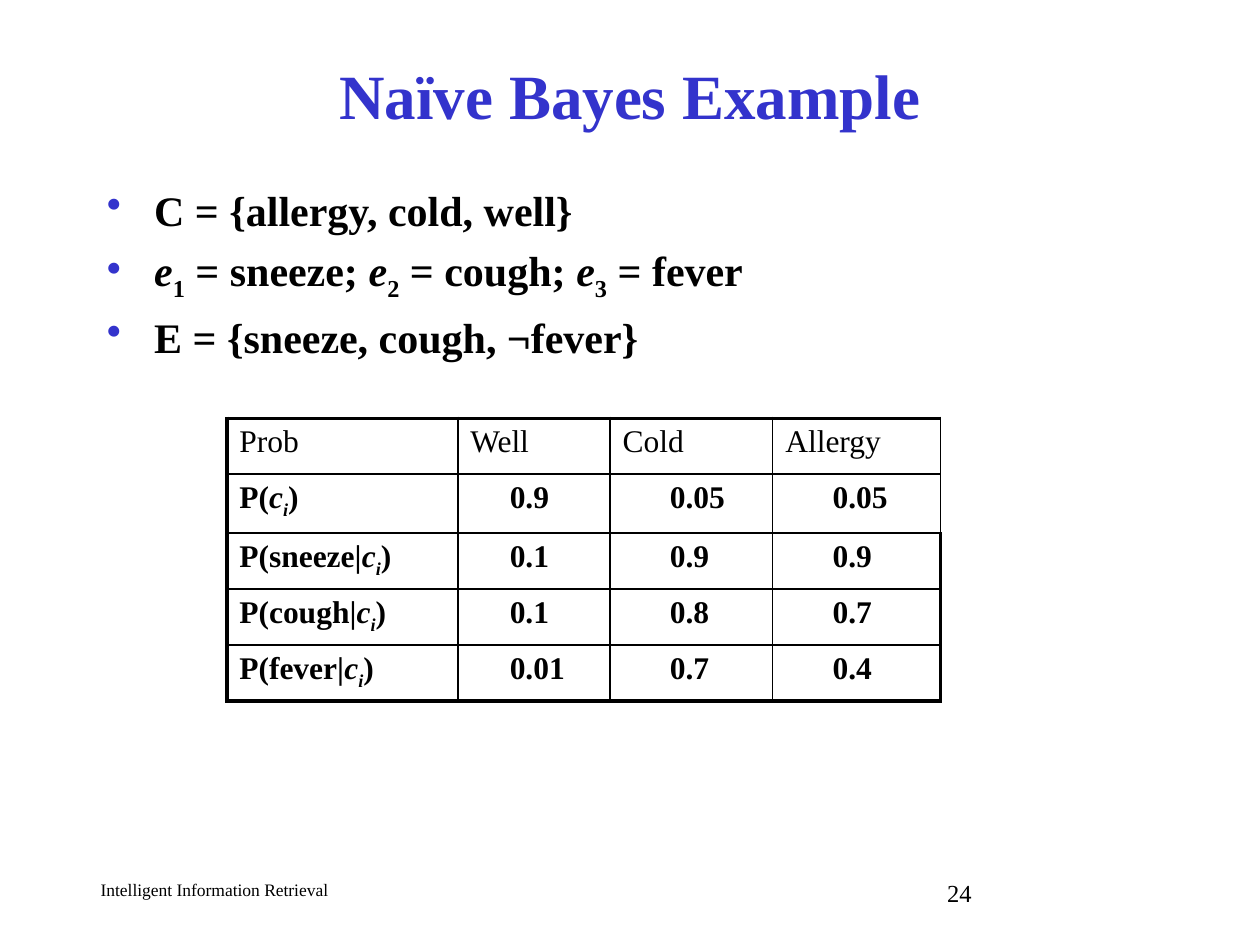
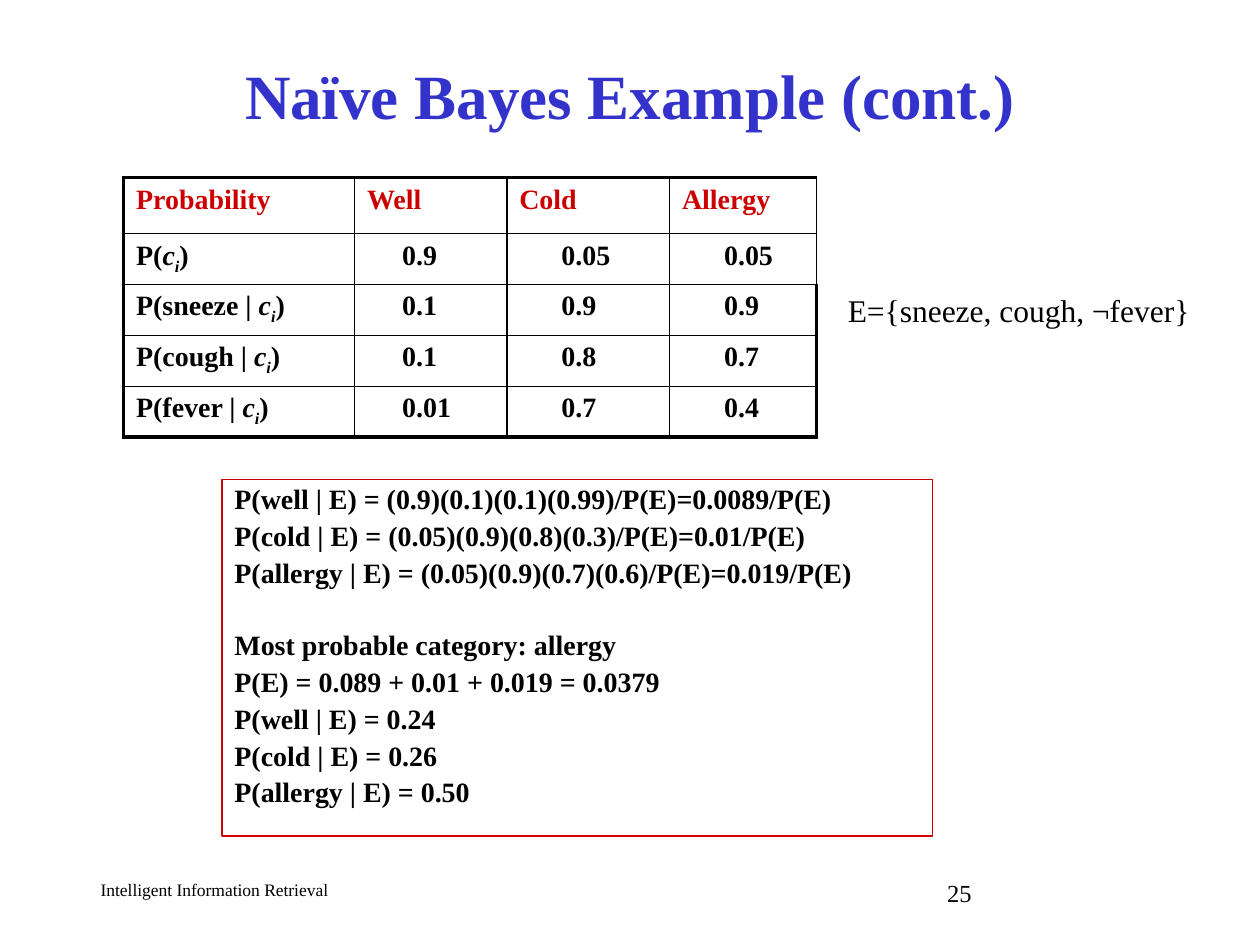
from lxml import etree
from pptx import Presentation
from pptx.dml.color import RGBColor
from pptx.enum.text import MSO_ANCHOR, PP_ALIGN
from pptx.oxml.ns import qn
from pptx.util import Pt

BLUE = RGBColor(0x33, 0x33, 0xCC)
RED = RGBColor(0xCC, 0x00, 0x00)
BLACK = RGBColor(0x00, 0x00, 0x00)
FONT = "Times New Roman"
LEFT, CENTER = PP_ALIGN.LEFT, PP_ALIGN.CENTER
TOP, MIDDLE = MSO_ANCHOR.TOP, MSO_ANCHOR.MIDDLE
THIN, THICK = 1, 2.25
HANG = 27


def write(p, text, size=18, color=BLACK, bold=False, align=LEFT):
    """Fill a paragraph; text is a string or a list of strings and (string, marks).

    Marks are "i" for italic and "_" for subscript.
    """
    p.alignment = align
    for part in [text] if isinstance(text, str) else text:
        words, marks = (part, "") if isinstance(part, str) else part
        r = p.add_run()
        r.text = words
        r.font.name, r.font.size, r.font.bold = FONT, Pt(size), bold
        r.font.italic = "i" in marks
        r.font.color.rgb = color
        if "_" in marks:
            r.font._element.set("baseline", "-25000")


def add_solid(parent, color):
    fill = etree.SubElement(parent, qn("a:solidFill"))
    etree.SubElement(fill, qn("a:srgbClr"), val=str(color))


class Deck:
    def __init__(self):
        self.prs = Presentation()
        self.prs.slide_width, self.prs.slide_height = Pt(720), Pt(540)
        self.s = None

    def slide(self, title, number):
        """Start a slide with its title and footer."""
        self.s = self.prs.slides.add_slide(self.prs.slide_layouts[6])
        self.text(50.4, 499, 270, 18, ["Intelligent Information Retrieval"], size=10)
        self.text(534.2, 498.2, 150, 18, [str(number)], size=14)
        self.text(54, 24, 612, 60, [title], anchor=MIDDLE,
                  size=36, color=BLUE, bold=True, align=CENTER)

    def text(self, x, y, w, h, lines, anchor=TOP, wrap=True, **style):
        sp = self.s.shapes.add_textbox(Pt(x), Pt(y), Pt(w), Pt(h))
        tf = sp.text_frame
        tf.word_wrap, tf.vertical_anchor = wrap, anchor
        for i, line in enumerate(lines):
            p = tf.add_paragraph() if i else tf.paragraphs[0]
            write(p, line, **style)
        return sp

    def hang(self, p):
        pPr = p._p.get_or_add_pPr()
        pPr.set("marL", str(Pt(HANG)))
        pPr.set("indent", str(-Pt(HANG)))
        return pPr

    def bullets(self, x, y, w, h, lines, gap, **style):
        sp = self.text(x, y, w, h, lines, **style)
        for i, p in enumerate(sp.text_frame.paragraphs):
            p.space_before = Pt(gap if i else 0)
            pPr = self.hang(p)
            color = etree.SubElement(pPr, qn("a:buClr"))
            etree.SubElement(color, qn("a:srgbClr"), val=str(BLUE))
            etree.SubElement(pPr, qn("a:buChar"), char="•")

    def framed(self, x, y, w, h, groups, gap, group_gap, **style):
        """A red frame with groups of lines set apart by a wider gap."""
        lines = [line for group in groups for line in group]
        starts = {len(groups[0])}
        sp = self.text(x, y, w, h, lines, **style)
        sp.line.color.rgb, sp.line.width = RED, Pt(0.75)
        for i, p in enumerate(sp.text_frame.paragraphs):
            p.line_spacing = 0.9
            p.space_before = Pt(group_gap if i in starts else gap if i else 0)
            self.hang(p)

    def borders(self, cell, **widths):
        tcPr = cell._tc.get_or_add_tcPr()
        for side in "LRTB":
            ln = etree.SubElement(tcPr, qn("a:ln" + side), w=str(Pt(widths[side])))
            add_solid(ln, BLACK)
        cell.fill.background()

    def table(self, x, y, cols, heights, rows, size, **head):
        frame = self.s.shapes.add_table(len(rows), len(cols), Pt(x), Pt(y),
                                        Pt(sum(cols)), Pt(sum(heights)))
        table = frame.table
        table.first_row = table.horz_banding = False
        for col, w in zip(table.columns, cols):
            col.width = Pt(w)
        for row, h in zip(table.rows, heights):
            row.height = Pt(h)
        last_row, last_col = len(rows) - 1, len(cols) - 1
        for i, row in enumerate(rows):
            for j, value in enumerate(row):
                cell = table.cell(i, j)
                p = cell.text_frame.paragraphs[0]
                write(p, value, size=size, **(head if i == 0 else {"bold": True}))
                if i and j:  # values stand in from the column heading
                    indent = size * (1.25 if j == 1 else 1.5)
                    p._p.get_or_add_pPr().set("marL", str(Pt(indent)))
                # The right edge is thick only beside the conditional rows
                self.borders(cell,
                             L=THIN if j else THICK,
                             R=THICK if j == last_col and i > 1 else THIN,
                             T=THIN if i else THICK,
                             B=THICK if i == last_row else THIN)


def prob_rows(heading, bar):
    """The probability table, with the given heading and condition bar."""
    values = [("", "0.9", "0.05", "0.05"),
              ("sneeze", "0.1", "0.9", "0.9"),
              ("cough", "0.1", "0.8", "0.7"),
              ("fever", "0.01", "0.7", "0.4")]
    rows = [[heading, "Well", "Cold", "Allergy"]]
    for event, *probs in values:
        given = event + bar if event else ""
        rows.append([["P(" + given, ("c", "i"), ("i", "i_"), ")"], *probs])
    return rows


deck = Deck()

# Slide 1: classes, evidence and probabilities
deck.slide("Naïve Bayes Example", 24)
evidence = []
for n, (name, end) in enumerate([("sneeze", "; "), ("cough", "; "), ("fever", "")], 1):
    evidence += [("e", "i"), (str(n), "_"), f" = {name}{end}"]
deck.bullets(54, 102, 612, 384,
             ["C = {allergy, cold, well}", evidence, "E = {sneeze, cough, ¬fever}"],
             gap=5.5, size=24, bold=True)
deck.table(129.6, 239, [132, 87, 93, 96], [32, 33.6, 32, 32, 32],
           prob_rows("Prob", "|"), size=18)

# Slide 2: the worked result
deck.slide("Naïve Bayes Example (cont.)", 25)
deck.framed(126.9, 273.8, 406, 204, [
    ["P(well | E) = (0.9)(0.1)(0.1)(0.99)/P(E)=0.0089/P(E)",
     "P(cold | E) = (0.05)(0.9)(0.8)(0.3)/P(E)=0.01/P(E)",
     "P(allergy | E) = (0.05)(0.9)(0.7)(0.6)/P(E)=0.019/P(E)"],
    ["Most probable category: allergy",
     "P(E) = 0.089 + 0.01 + 0.019 = 0.0379",
     "P(well | E) = 0.24",
     "P(cold | E) = 0.26",
     "P(allergy | E) = 0.50"],
], gap=3.8, group_gap=24, size=16, bold=True)
deck.table(70.6, 101.6, [132, 87, 93, 84], [32, 27.6, 27.6, 27.6, 28],
           prob_rows("Probability", " | "), size=16, color=RED, bold=True)
deck.text(476, 162.7, 212.4, 28.8, ["E={sneeze, cough, ¬fever}"],
          wrap=False, size=18, align=CENTER)

deck.prs.save("out.pptx")
